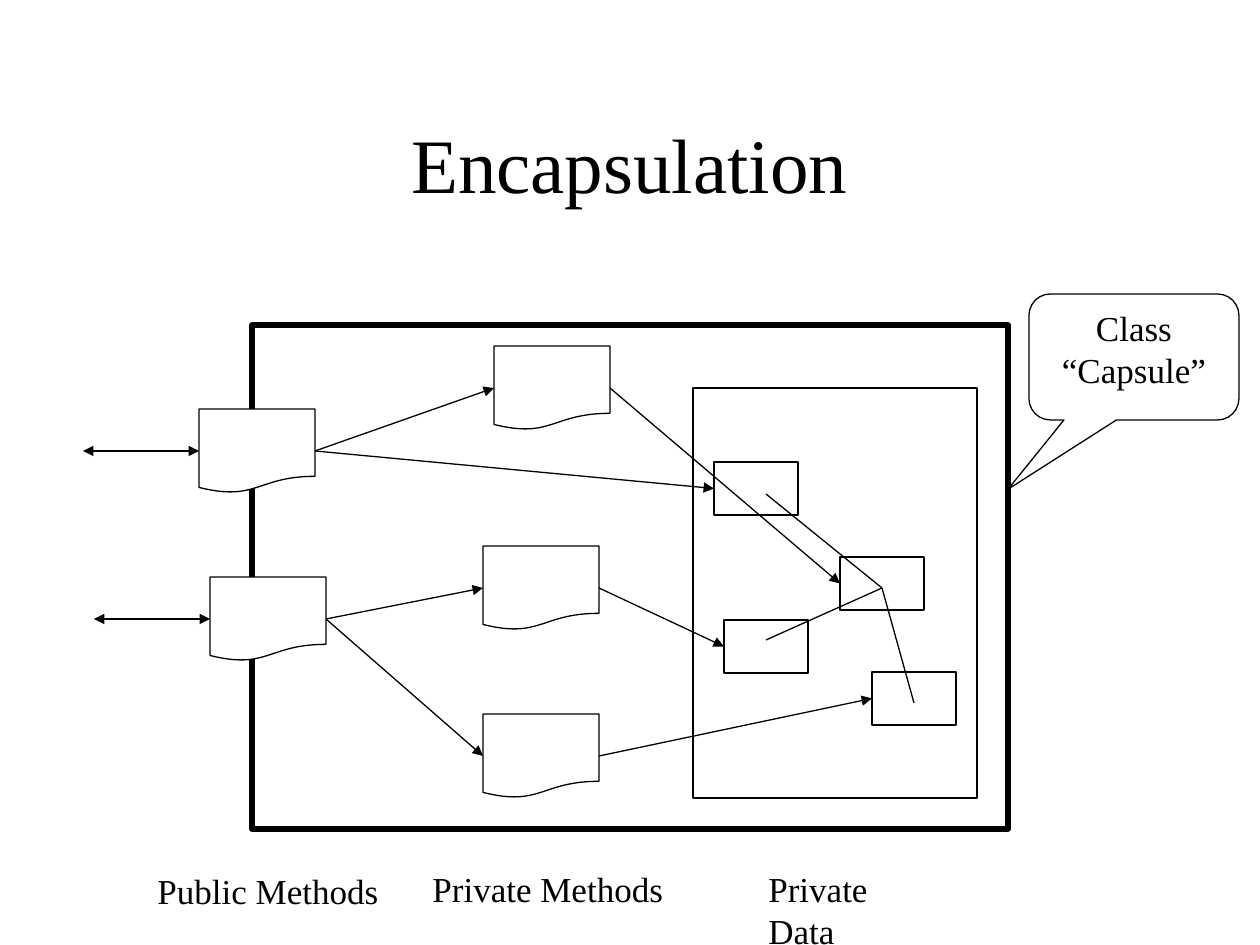
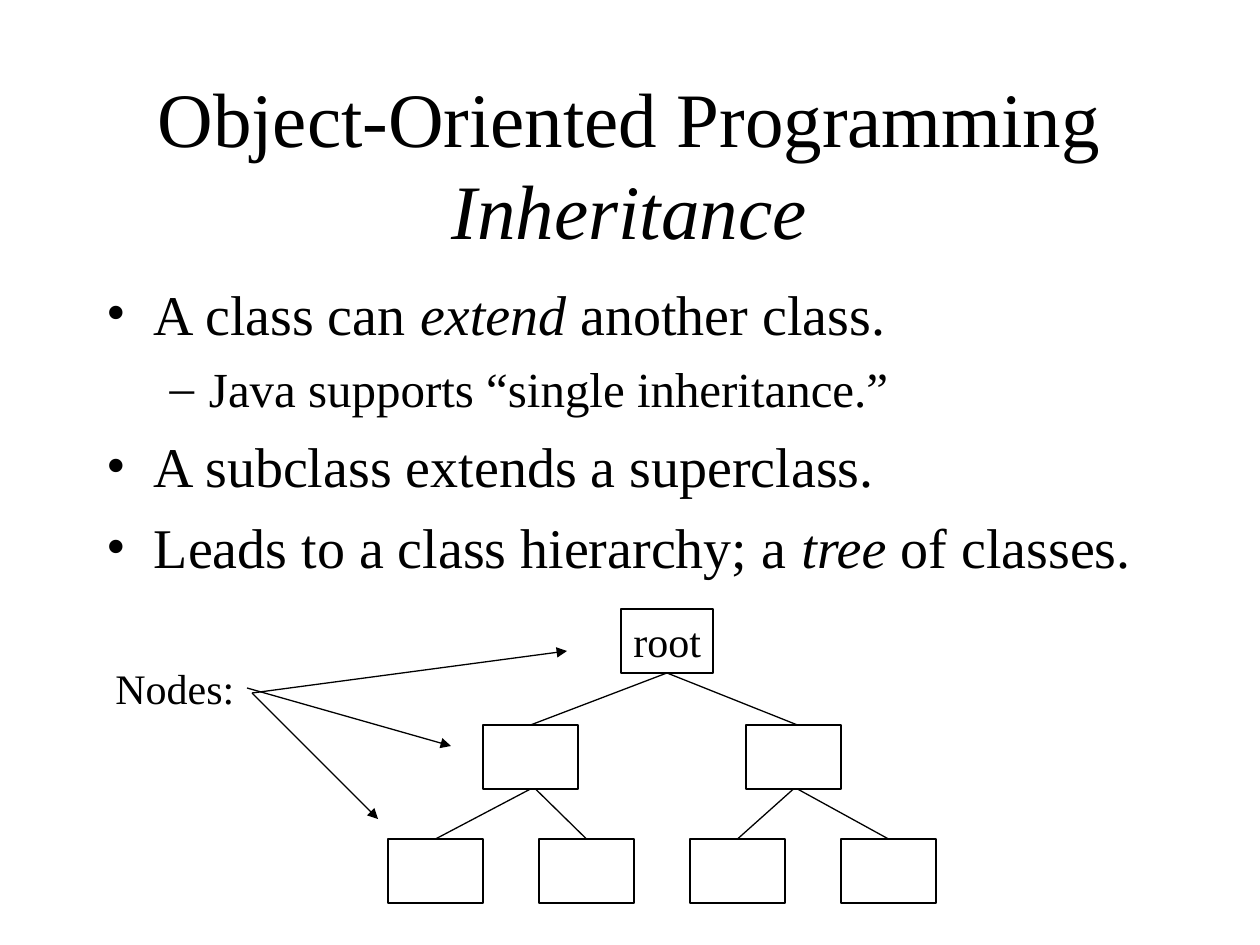
from lxml.etree import SubElement
from pptx import Presentation
from pptx.dml.color import RGBColor
from pptx.enum.shapes import MSO_CONNECTOR, MSO_SHAPE
from pptx.enum.text import MSO_ANCHOR, MSO_AUTO_SIZE, PP_ALIGN
from pptx.oxml.ns import qn
from pptx.util import Emu, Pt

# Shared style
BLACK = RGBColor(0x00, 0x00, 0x00)
WHITE = RGBColor(0xFF, 0xFF, 0xFF)
FONT = "Times New Roman"
PX = 914400 / 126
SLIDE_SIZE = (1260, 945)
TITLE_AREA = (94, 84, 1071, 158)
TOP, LEFT, BOTTOM, RIGHT = range(4)

# Encapsulation: places in px
CAPSULE = (252, 325, 756, 504)
DATA_PANEL = (693, 388, 284, 410)
METHOD_SIZE = (116, 84)
DATA_SIZE = (84, 53)
PRIVATE_METHODS = {"private 1": (494, 346), "private 2": (483, 546), "private 3": (483, 714)}
PUBLIC_METHODS = {"public 1": (199, 409), "public 2": (210, 577)}
DATA_ITEMS = {"data 1": (714, 462), "data 2": (840, 557),
              "data 3": (724, 620), "data 4": (872, 672)}
CALLS = [
    ("public 1", "private 1"), ("public 1", "data 1"), ("private 1", "data 2"),
    ("private 2", "data 3"), ("private 3", "data 4"),
    ("public 2", "private 2"), ("public 2", "private 3"),
]
DATA_HUB = (882, 588)
DATA_LINK_ENDS = [(766, 494), (766, 640), (914, 703)]
CAPTIONS = [
    ("Public Methods", (145, 863, 246, 55)),
    ("Private Methods", (420, 861, 256, 55)),
    ("Private Data", (756, 861, 199, 55)),
]
CALLOUT = (1029, 294, 210, 126)
CALLOUT_LINES = ["Class", "“Capsule”"]
CALLOUT_ADJUSTMENTS = (-0.6, 1.05, 0.17)

# Inheritance: asterisks enclose italic words
INHERITANCE_TITLE = "Object-Oriented Programming\n*Inheritance*"
BODY_AREA = (94, 273, 1071, 325)
BULLETS = [
    (0, "A class can *extend* another class."),
    (1, "Java supports “single inheritance.”"),
    (0, "A subclass extends a superclass."),
    (0, "Leads to a class hierarchy; a *tree* of classes."),
]
LEVELS = [  # size, space before, bullet
    (32, 8, "•"),
    (28, 7, "–"),
]
ROOT = (621, 609, 92, 64)
NODE_SIZE = (95, 64)
CHILD_LEFTS, CHILD_TOP = (483, 746), 725
LEAF_LEFT, LEAF_PITCH, LEAF_TOP = 388, 151, 839
# parent, child, then sideways shift of each end from the side's middle
TREE_EDGES = [
    ("root", "child 0", 0, 0), ("root", "child 1", 0, 4),
    ("child 0", "leaf 0", 0, 0), ("child 0", "leaf 1", 5, 0),
    ("child 1", "leaf 2", 0, 0), ("child 1", "leaf 3", 4, 0),
]
NODES_LABEL = (103, 656, 144, 63)
NODE_POINTERS = [((252, 693), (567, 651)), ((247, 688), (451, 746)), ((252, 693), (378, 819))]


def emu(*lengths):
    return [Emu(round(length * PX)) for length in lengths]


def write(para, text, size=20, align=None, color=BLACK):
    """Write text into a paragraph; *words* are italic, a newline breaks the line."""
    para.alignment = align
    for index, piece in enumerate(text.split("*")):
        for number, line in enumerate(piece.split("\n")):
            if number:
                para.add_line_break()
            if line:
                span = para.add_run()
                span.text = line
                span.font.name, span.font.size = FONT, Pt(size)
                span.font.italic = index % 2 == 1
                span.font.color.rgb = color


def place(shape, area):
    shape.left, shape.top, shape.width, shape.height = emu(*area)


def add_titled_page(deck, layout, title):
    page = deck.slides.add_slide(deck.slide_layouts[layout])
    place(page.shapes.title, TITLE_AREA)
    frame = page.shapes.title.text_frame
    frame.auto_size = MSO_AUTO_SIZE.NONE
    frame.vertical_anchor = MSO_ANCHOR.MIDDLE
    write(frame.paragraphs[0], title, size=44, align=PP_ALIGN.CENTER)
    return page


def add_box(page, area, kind=MSO_SHAPE.RECTANGLE, fill=None, weight=0.75):
    box = page.shapes.add_shape(kind, *emu(*area))
    box.shadow.inherit = False
    box.line.color.rgb, box.line.width = BLACK, Pt(weight)
    if fill is None:
        box.fill.background()
    else:
        box.fill.solid()
        box.fill.fore_color.rgb = fill
    box.text_frame.vertical_anchor = MSO_ANCHOR.TOP
    return box


def add_label(page, text, area, size=20):
    label = page.shapes.add_textbox(*emu(*area))
    label.text_frame.word_wrap = False
    label.text_frame.auto_size = MSO_AUTO_SIZE.SHAPE_TO_FIT_TEXT
    write(label.text_frame.paragraphs[0], text, size=size)


def add_line(page, start=(0, 0), end=(0, 0), begin_at=None, end_at=None, arrows=()):
    """Draw a line between points, or between (box, side) joints where given."""
    line = page.shapes.add_connector(MSO_CONNECTOR.STRAIGHT, *emu(*start, *end))
    if begin_at:
        line.begin_connect(*begin_at)
    if end_at:
        line.end_connect(*end_at)
    line.line.color.rgb, line.line.width = BLACK, Pt(0.75)
    properties = line._element.spPr
    for arrow in arrows:
        SubElement(properties.find(qn("a:ln")), qn(f"a:{arrow}"), type="triangle")
    SubElement(properties, qn("a:effectLst"))


def build_encapsulation(deck):
    page = add_titled_page(deck, 5, "Encapsulation")
    add_box(page, CAPSULE, weight=3)

    # Methods and data
    parts = {}
    for methods, fill in ((PRIVATE_METHODS, None), (PUBLIC_METHODS, WHITE)):
        for name, corner in methods.items():
            parts[name] = add_box(page, corner + METHOD_SIZE,
                                  MSO_SHAPE.FLOWCHART_DOCUMENT, fill)
    add_box(page, DATA_PANEL)
    for name, corner in DATA_ITEMS.items():
        parts[name] = add_box(page, corner + DATA_SIZE)

    # Links and calls
    for point in DATA_LINK_ENDS:
        add_line(page, DATA_HUB, point)
    for caller, target in CALLS:
        add_line(page, begin_at=(parts[caller], RIGHT), end_at=(parts[target], LEFT),
                 arrows=["tailEnd"])
    width, height = METHOD_SIZE
    for name, (left, top) in PUBLIC_METHODS.items():
        middle = top + height / 2
        add_line(page, (left, middle), (left - width, middle),
                 begin_at=(parts[name], LEFT), arrows=["headEnd", "tailEnd"])

    # Captions and callout
    for text, area in CAPTIONS:
        add_label(page, text, area)
    callout = add_box(page, CALLOUT, MSO_SHAPE.ROUNDED_RECTANGULAR_CALLOUT)
    for index, value in enumerate(CALLOUT_ADJUSTMENTS):
        callout.adjustments[index] = value
    frame = callout.text_frame
    for index, text in enumerate(CALLOUT_LINES):
        para = frame.add_paragraph() if index else frame.paragraphs[0]
        write(para, text, align=PP_ALIGN.CENTER)


def fill_bullets(body):
    place(body, BODY_AREA)
    frame = body.text_frame
    frame.auto_size = MSO_AUTO_SIZE.NONE
    for index, (level, text) in enumerate(BULLETS):
        size, space, bullet = LEVELS[level]
        para = frame.add_paragraph() if index else frame.paragraphs[0]
        para.level, para.space_before = level, Pt(space)
        properties = para._p.get_or_add_pPr()
        SubElement(properties, qn("a:buFont"), typeface=FONT)
        SubElement(properties, qn("a:buChar"), char=bullet)
        write(para, text, size=size)


def build_inheritance(deck):
    page = add_titled_page(deck, 1, INHERITANCE_TITLE)
    fill_bullets(page.placeholders[1])

    # Class tree
    areas = {"root": ROOT}
    for index, left in enumerate(CHILD_LEFTS):
        areas[f"child {index}"] = (left, CHILD_TOP) + NODE_SIZE
    for index in range(4):
        areas[f"leaf {index}"] = (LEAF_LEFT + index * LEAF_PITCH, LEAF_TOP) + NODE_SIZE
    nodes = {name: add_box(page, area) for name, area in areas.items()}
    frame = nodes["root"].text_frame
    frame.word_wrap = False
    write(frame.paragraphs[0], "root", size=24, align=PP_ALIGN.LEFT)

    for parent, child, start_shift, end_shift in TREE_EDGES:
        left, top, width, height = areas[parent]
        child_left, child_top, child_width, _ = areas[child]
        add_line(page, (left + width / 2 + start_shift, top + height),
                 (child_left + child_width / 2 + end_shift, child_top),
                 begin_at=None if start_shift else (nodes[parent], BOTTOM),
                 end_at=None if end_shift else (nodes[child], TOP))

    # Pointers to the nodes
    add_label(page, "Nodes:", NODES_LABEL, size=24)
    for start, end in NODE_POINTERS:
        add_line(page, start, end, arrows=["tailEnd"])


def main():
    deck = Presentation()
    deck.slide_width, deck.slide_height = emu(*SLIDE_SIZE)
    build_encapsulation(deck)
    build_inheritance(deck)
    deck.save("out.pptx")


if __name__ == "__main__":
    main()
